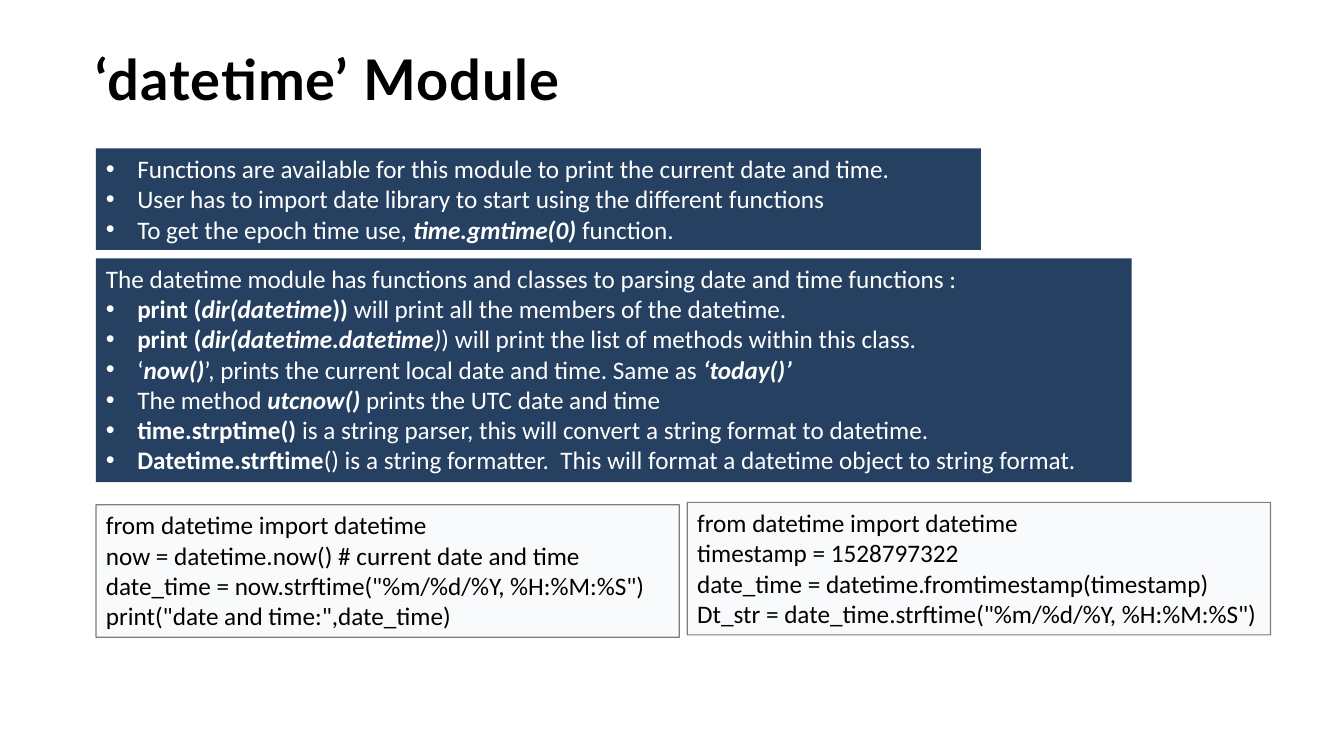
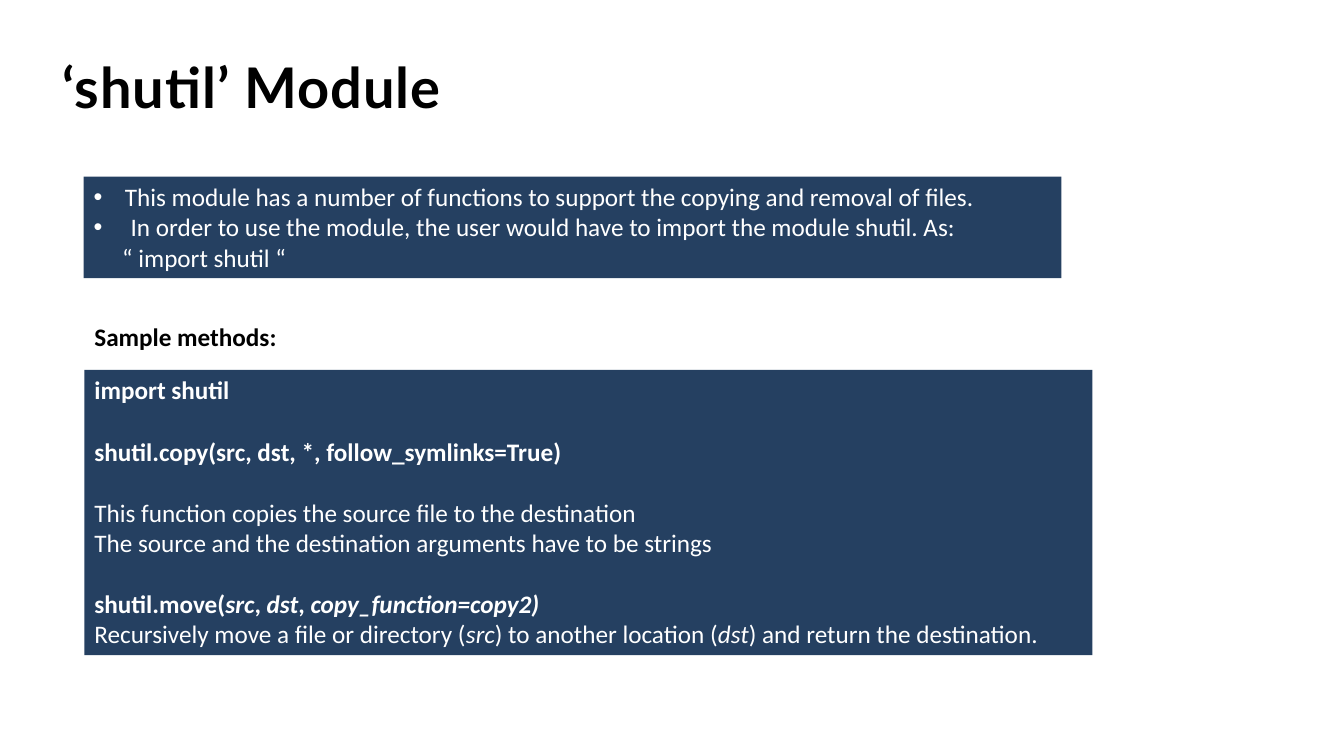
from lxml.etree import SubElement
from pptx import Presentation
from pptx.dml.color import RGBColor
from pptx.enum.shapes import MSO_SHAPE
from pptx.enum.text import MSO_ANCHOR, PP_ALIGN
from pptx.oxml.ns import qn
from pptx.util import Cm, Pt

NAVY = RGBColor(0x25, 0x40, 0x61)
PALE_BLUE = RGBColor(0xDC, 0xE6, 0xF2)
BLACK = RGBColor(0x00, 0x00, 0x00)
WHITE = RGBColor(0xFF, 0xFF, 0xFF)

TITLE_FONT, TITLE_SIZE = "Lato", Pt(40)
BODY_FONT, BODY_SIZE = "Calibri", Pt(18)
BULLET_INDENT = Cm(0.79)
CONTINUATION_INDENT = Cm(0.72)
SECTION_GAP = Pt(22)

# A line of text is a list of runs; a run is its text and its style letters: b bold, i italic.
DATETIME_INTRO = [
    [("Functions are available for this module to print the current date and time.", "")],
    [("User has to import date library to start using the different functions", "")],
    [("To get the epoch time use, ", ""), ("time.gmtime(0) ", "bi"), ("function.", "")],
]
DATETIME_HEADING = [
    ("The datetime module has functions and classes to parsing date and time functions :", "")
]
DATETIME_METHODS = [
    [("print (", "b"), ("dir(datetime", "bi"), (")) ", "b"),
     ("will print all the members of the datetime.", "")],
    [("print (", "b"), ("dir(datetime.datetime", "bi"), (")", "i"),
     (") will print the list of methods within this class.", "")],
    [("‘", ""), ("now()", "bi"),
     ("’, prints the current local date and time. Same as ", ""), ("‘today()’", "bi")],
    [("The method ", ""), ("utcnow() ", "bi"), ("prints the UTC date and time", "")],
    [("time.strptime()", "b"),
     (" is a string parser, this will convert a string format to datetime.", "")],
    [("Datetime.strftime", "b"),
     ("() is a string formatter.  This will format a datetime object to string format.", "")],
]
NOW_CODE = [
    "from datetime import datetime",
    "now = datetime.now() # current date and time",
    'date_time = now.strftime("%m/%d/%Y, %H:%M:%S")',
    'print("date and time:",date_time)',
]
TIMESTAMP_CODE = [
    "from datetime import datetime",
    "timestamp = 1528797322",
    "date_time = datetime.fromtimestamp(timestamp)",
    'Dt_str = date_time.strftime("%m/%d/%Y, %H:%M:%S")',
]
SHUTIL_INTRO = [
    [("This module has a number of functions to support the copying and removal of files.", "")],
    [(" In order to use the module, the user would have to import the module shutil. As:", "")],
]
SHUTIL_IMPORT = [("“ import shutil “", "")]
SHUTIL_SECTIONS = [
    [[("import shutil", "b")]],
    [[("shutil.copy(src, dst, *, follow_symlinks=True)", "b")]],
    [[("This function copies the source file to the destination", "")],
     [("The source and the destination arguments have to be strings", "")]],
    [[("shutil.move(", "b"), ("src", "bi"), (", ", "b"), ("dst", "bi"), (", ", "b"),
      ("copy_function=copy2)", "bi")],
     [("Recursively move a file or directory (", ""), ("src", "i"),
       (") to another location (", ""), ("dst", "i"), (") and return the destination.", "")]],
]


def set_alpha(color_parent, percent):
    """Make the solid colour found inside the given element partly transparent."""
    color = next(color_parent.iter(qn("a:srgbClr")))
    SubElement(color, qn("a:alpha"), val=str(percent * 1000))


def set_indent(paragraph, margin, bullet=False):
    properties = paragraph._p.get_or_add_pPr()
    properties.set("marL", str(margin))
    if bullet:
        properties.set("indent", str(-margin))
        SubElement(properties, qn("a:buFont"), typeface="Arial")
        SubElement(properties, qn("a:buChar"), char="•")


def add_line(frame, runs, color, margin=0, bullet=False, gap=0):
    """Write one paragraph, filling the frame's first one while it is empty."""
    paragraph = frame.paragraphs[0]
    if paragraph.runs:
        paragraph = frame.add_paragraph()
    if margin:
        set_indent(paragraph, margin, bullet)
    paragraph.alignment = PP_ALIGN.LEFT
    paragraph.space_before = gap
    font = paragraph.font
    font.name, font.size, font.color.rgb = BODY_FONT, BODY_SIZE, color
    for text, style in runs:
        run = paragraph.add_run()
        run.text = text
        if "b" in style:
            run.font.bold = True
        if "i" in style:
            run.font.italic = True


def add_bullets(frame, lines):
    for runs in lines:
        add_line(frame, runs, WHITE, BULLET_INDENT, bullet=True)


def add_panel(slide, left, top, width, height, fill):
    panel = slide.shapes.add_shape(MSO_SHAPE.RECTANGLE, left, top, width, height)
    panel.shadow.inherit = False
    panel.fill.solid()
    panel.fill.fore_color.rgb = fill
    panel.line.fill.background()
    panel.text_frame.word_wrap = True
    panel.text_frame.vertical_anchor = MSO_ANCHOR.TOP
    return panel


def add_navy_panel(slide, left, top, width, height):
    return add_panel(slide, left, top, width, height, NAVY).text_frame


def add_code_box(slide, left, top, width, height, code):
    box = add_panel(slide, left, top, width, height, PALE_BLUE)
    box.line.color.rgb = BLACK
    box.line.width = Pt(0.75)
    properties = box._element.spPr
    set_alpha(properties.find(qn("a:solidFill")), 19)
    set_alpha(properties.find(qn("a:ln")), 50)
    for text in code:
        add_line(box.text_frame, [(text, "")], BLACK)


def add_title(slide, left, top, text):
    frame = slide.shapes.add_textbox(left, top, Cm(29.46), Cm(1.42)).text_frame
    frame.word_wrap = True
    frame.margin_left = frame.margin_top = frame.margin_right = frame.margin_bottom = 0
    paragraph = frame.paragraphs[0]
    font = paragraph.font
    font.name, font.size, font.bold, font.color.rgb = TITLE_FONT, TITLE_SIZE, True, BLACK
    run = paragraph.add_run()
    run.text = text
    run.font._element.set("spc", "70")


def add_caption(slide, left, top, text):
    frame = slide.shapes.add_textbox(left, top, Cm(5.46), Cm(1.02)).text_frame
    frame.word_wrap = False
    add_line(frame, [(text, "b")], BLACK)


def build_datetime_slide(slide):
    left = Cm(2.42)
    add_title(slide, left, Cm(1.12), "‘datetime’ Module")
    add_bullets(add_navy_panel(slide, left, Cm(3.74), Cm(22.3), Cm(2.56)), DATETIME_INTRO)
    methods = add_navy_panel(slide, left, Cm(6.51), Cm(26.1), Cm(5.64))
    add_line(methods, DATETIME_HEADING, WHITE)
    add_bullets(methods, DATETIME_METHODS)
    code_width, code_height = Cm(14.7), Cm(3.34)
    add_code_box(slide, left, Cm(12.72), code_width, code_height, NOW_CODE)
    add_code_box(slide, Cm(17.32), Cm(12.66), code_width, code_height, TIMESTAMP_CODE)


def build_shutil_slide(slide):
    left = Cm(2.13)
    add_title(slide, Cm(1.58), Cm(1.32), "‘shutil’ Module")
    intro = add_navy_panel(slide, Cm(2.11), Cm(4.45), Cm(24.64), Cm(2.56))
    add_bullets(intro, SHUTIL_INTRO)
    add_line(intro, SHUTIL_IMPORT, WHITE, CONTINUATION_INDENT)
    add_caption(slide, left, Cm(7.98), "Sample methods:")
    methods = add_navy_panel(slide, left, Cm(9.32), Cm(25.4), Cm(7.19))
    for section_number, section in enumerate(SHUTIL_SECTIONS):
        for line_number, runs in enumerate(section):
            starts_section = section_number > 0 and line_number == 0
            add_line(methods, runs, WHITE, gap=SECTION_GAP if starts_section else 0)


def main():
    presentation = Presentation()
    presentation.slide_width, presentation.slide_height = Cm(33.87), Cm(19.05)
    blank_layout = presentation.slide_layouts[6]
    for build_slide in (build_datetime_slide, build_shutil_slide):
        build_slide(presentation.slides.add_slide(blank_layout))
    presentation.save("out.pptx")


if __name__ == "__main__":
    main()
